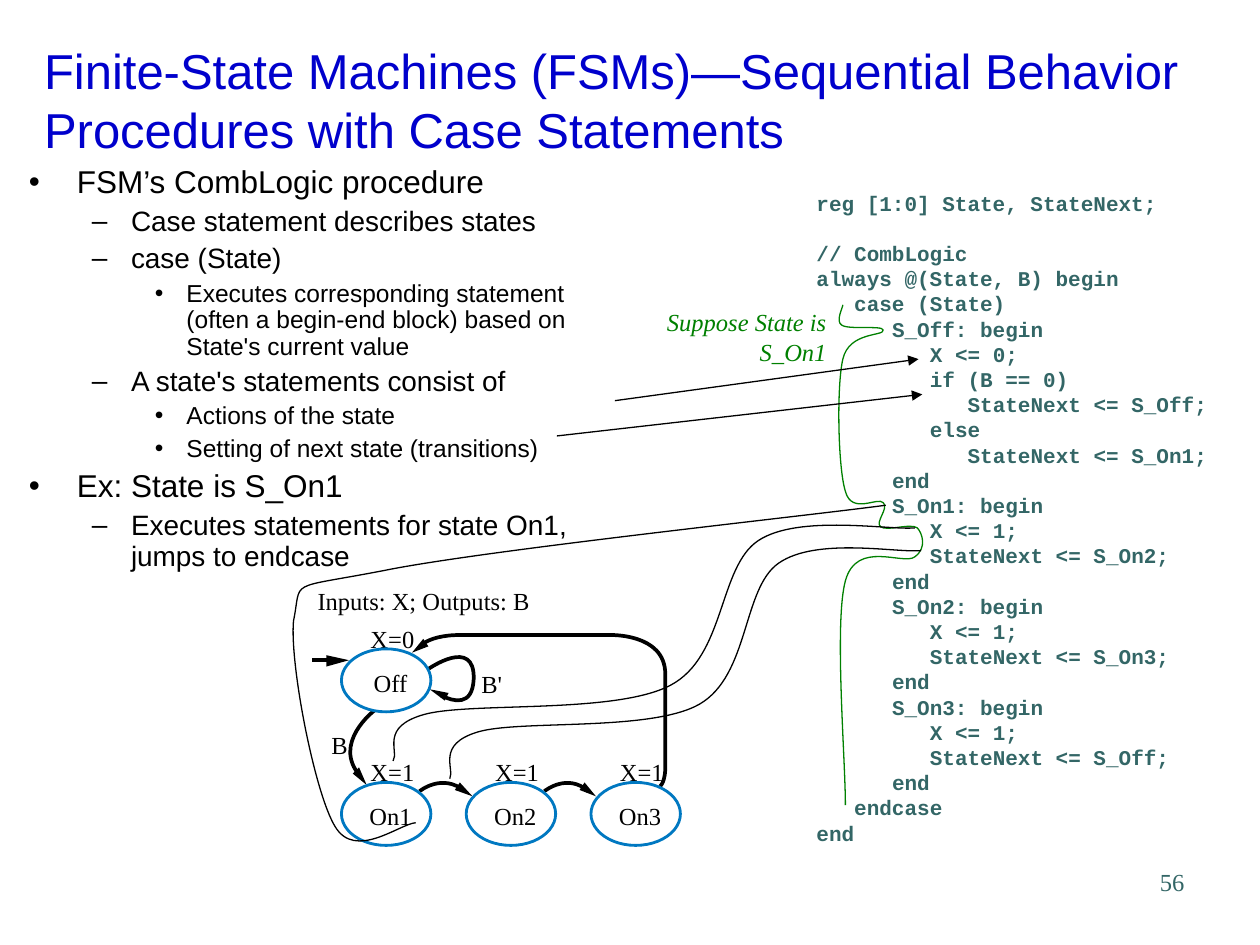
"""Build a slide on finite-state machine procedures with case statements."""
from pptx import Presentation
from pptx.dml.color import RGBColor
from pptx.enum.shapes import MSO_CONNECTOR as Connector, MSO_SHAPE as Shape
from pptx.enum.text import MSO_ANCHOR as Anchor, MSO_AUTO_SIZE as AutoSize, PP_ALIGN as Align
from pptx.oxml.ns import qn
from pptx.oxml.xmlchemy import OxmlElement
from pptx.util import Cm, Pt

COLORS = {"title": "0000CC", "text": "000000", "code": "336666", "note": "008000", "state": "0078C1"}
TITLE = "Finite-State Machines (FSMs)—Sequential Behavior\vProcedures with Case Statements"
BULLETS = [
    (0, "FSM’s CombLogic procedure"),
    (1, "Case statement describes states"),
    (1, "case (State)"),
    (2, "Executes corresponding statement (often a begin-end block) based on State's current value"),
    (1, "A state's statements consist of"),
    (2, "Actions of the state"),
    (2, "Setting of next state (transitions)"),
    (0, "Ex: State is S_On1"),
    (1, "Executes statements for state On1, jumps to endcase"),
]
BULLET_STYLES = [(18, 0.38, 0.38, 4.5), (16, 0.81, 0.31, 4), (14, 1.25, 0.25, 3.5)]
CODE = [
    (1, "reg [1:0] State, StateNext;"),
    (1, "// CombLogic"),
    (1, "always @(State, B) begin"),
    (2, "case (State)"),
    (3, "S_Off: begin"),
    (4, "X <= 0;"),
    (4, "if (B == 0)"),
    (5, "StateNext <= S_Off;"),
    (4, "else"),
    (5, "StateNext <= S_On1;"),
    (3, "end"),
    (3, "S_On1: begin"),
    (4, "X <= 1;"),
    (4, "StateNext <= S_On2;"),
    (3, "end"),
    (3, "S_On2: begin"),
    (4, "X <= 1;"),
    (4, "StateNext <= S_On3;"),
    (3, "end"),
    (3, "S_On3: begin"),
    (4, "X <= 1;"),
    (4, "StateNext <= S_Off;"),
    (3, "end"),
    (2, "endcase"),
    (1, "end"),
]
CODE_PITCH = 14.4
STATES = [("Off", "X=0", 0, 5.15), ("On1", "X=1", 0, 6.21), ("On2", "X=1", 1, 6.21), ("On3", "X=1", 2, 6.21)]
STATE_LEFT, STATE_STEP = 2.71, 0.99
LABELS = [
    ("Inputs: X; Outputs: B", 2.52, 4.65, 1.69),
    ("B'", 3.82, 5.31, 0.17),
    ("B", 2.63, 5.79, 0.13),
]
TRANSITIONS = [
    [(3.33, 6.28), (3.33, 6.28), (3.51, 6.13), (3.69, 6.28)],
    [(4.32, 6.28), (4.32, 6.28), (4.5, 6.13), (4.67, 6.28)],
    [(3.5, 5.52), (3.6, 5.57), (3.75, 5.61), (3.76, 5.39), (3.77, 5.05), (3.4, 5.31), (3.4, 5.31)],
    [(3.37, 5.1), (3.42, 5.07), (3.51, 5.04), (3.65, 5.04), (4.83, 5.04), (4.83, 5.04), (4.83, 5.04),
     (4.83, 5.04), (5.28, 5.02), (5.28, 5.35), (5.28, 6.1), (5.28, 6.1), (5.28, 6.1),
     (5.28, 6.1), (5.28, 6.2), (5.24, 6.24)],
    [(2.97, 5.64), (2.97, 5.64), (2.63, 5.9), (2.86, 6.16)],
]
ARROWHEADS = [
    [(2.77, 5.24), (2.59, 5.2), (2.59, 5.29)],
    [(3.75, 6.32), (3.65, 6.21), (3.61, 6.27)],
    [(2.91, 6.23), (2.85, 6.09), (2.8, 6.14)],
    [(3.41, 5.47), (3.53, 5.56), (3.56, 5.5)],
    [(3.27, 5.18), (3.4, 5.13), (3.36, 5.07)],
    [(4.73, 6.32), (4.64, 6.21), (4.6, 6.27)],
]
EXECUTION = [
    (6.69, 2.42), (6.69, 2.44), (6.63, 2.55), (6.68, 2.58), (6.73, 2.62), (7.01, 2.58), (7.01, 2.62),
    (7.02, 2.67), (6.74, 2.63), (6.69, 2.85), (6.64, 3.06), (6.65, 3.71), (6.71, 3.9),
    (6.76, 4.09), (6.97, 3.94), (7.01, 3.99), (7.06, 4.03), (6.94, 4.15), (6.99, 4.18),
    (7.03, 4.22), (7.23, 4.15), (7.28, 4.19), (7.32, 4.23), (7.36, 4.35), (7.26, 4.42),
    (7.17, 4.49), (6.8, 4.28), (6.71, 4.61), (6.62, 4.94), (6.71, 6.02), (6.71, 6.39),
]
CODE_LINKS = [
    [(7.26, 4.19), (7.06, 4.21), (6.34, 4.08), (6.02, 4.29), (5.7, 4.5), (5.76, 5.21), (5.32, 5.44),
     (4.88, 5.67), (3.74, 5.57), (3.37, 5.67), (3.01, 5.77), (3.17, 5.96), (3.12, 6.04)],
    [(7.31, 4.37), (7.12, 4.39), (6.48, 4.26), (6.18, 4.47), (5.89, 4.67), (5.95, 5.36), (5.55, 5.59),
     (5.16, 5.81), (4.12, 5.71), (3.79, 5.81), (3.46, 5.91), (3.61, 6.1), (3.57, 6.18)],
    [(7.03, 4.01), (6.36, 4.1), (3.82, 4.37), (3.04, 4.53), (2.26, 4.68), (2.4, 4.59), (2.33, 4.93),
     (2.3, 5.28), (2.5, 6.3), (2.66, 6.56), (2.82, 6.83), (3.17, 6.54), (3.3, 6.53)],
]
POINTERS = [((4.42, 3.46), (7.32, 3.13)), ((4.88, 3.18), (7.29, 2.85))]


def inches(*values):
    return [Cm(2.54 * value) for value in values]


def color(name):
    return RGBColor.from_string(COLORS[name])


def set_font(paragraph, name, size, tint):
    font = paragraph.font
    font.name, font.size, font.color.rgb = name, Pt(size), color(tint)
    return font


def set_indent(paragraph, left, hanging=0):
    margin, first = inches(left, -hanging)
    properties = paragraph._p.get_or_add_pPr()
    properties.set("marL", str(margin))
    properties.set("indent", str(first))


def set_line(shape, tint, width):
    shape.line.color.rgb = color(tint)
    shape.line.width = Pt(width)


def move(placeholder, *box):
    placeholder.left, placeholder.top, placeholder.width, placeholder.height = inches(*box)
    placeholder.text_frame.auto_size = AutoSize.NONE
    return placeholder.text_frame


def add_text(slide, text, box, tint="text", align=Align.LEFT, wrap=False):
    frame = slide.shapes.add_textbox(*inches(*box)).text_frame
    frame.margin_left = frame.margin_right = frame.margin_top = frame.margin_bottom = 0
    frame.word_wrap = wrap
    frame.text = text
    frame.paragraphs[0].alignment = align
    set_font(frame.paragraphs[0], "Times New Roman", 14, tint)
    return frame


def add_outline(slide, points, closed=False):
    builder = slide.shapes.build_freeform(*inches(*points[0]), scale=1.0)
    builder.add_line_segments([inches(*point) for point in points[1:]], close=closed)
    shape = builder.convert_to_shape()
    shape.shadow.inherit = False
    return shape


def add_curve(slide, points, tint="text", width=0.75):
    shape = add_outline(slide, points)
    shape.fill.background()
    set_line(shape, tint, width)
    segments = list(shape._element.iter(qn("a:lnTo")))
    for start in range(0, len(segments), 3):
        curve = OxmlElement("a:cubicBezTo")
        segments[start].addprevious(curve)
        for segment in segments[start:start + 3]:
            curve.append(segment[0])
            segment.getparent().remove(segment)


def add_line(slide, start, end, width, arrow=False):
    line = slide.shapes.add_connector(Connector.STRAIGHT, *inches(*start, *end))
    set_line(line, "text", width)
    properties = line._element.spPr
    if arrow:
        tail = OxmlElement("a:tailEnd")
        tail.set("type", "triangle")
        properties.find(qn("a:ln")).append(tail)
    properties.append(OxmlElement("a:effectLst"))


def add_title_and_bullets(slide):
    frame = move(slide.shapes.title, 0.25, 0.33, 9.42, 0.92)
    frame.text, frame.vertical_anchor = TITLE, Anchor.MIDDLE
    frame.paragraphs[0].alignment = Align.LEFT
    set_font(frame.paragraphs[0], "Arial", 28, "title")
    frame = move(slide.placeholders[1], 0.13, 1.27, 4.55, 3.51)
    frame.text = "\n".join(text for _, text in BULLETS)
    for paragraph, (level, _) in zip(frame.paragraphs, BULLETS):
        size, left, hanging, before = BULLET_STYLES[level]
        paragraph.level, paragraph.line_spacing, paragraph.space_before = level, 0.9, Pt(before)
        set_indent(paragraph, left, hanging)
        set_font(paragraph, "Arial", size, "text")


def add_code(slide):
    frame = add_text(slide, "\n".join(text for _, text in CODE), (6.18, 1.51, 3.4, 5.2))
    for paragraph, (level, _) in zip(frame.paragraphs, CODE):
        set_font(paragraph, "Courier New", 12, "code").bold = True
        set_indent(paragraph, 0.3 * level)
        paragraph.line_spacing = Pt(CODE_PITCH)
    frame.paragraphs[1].space_before = Pt(CODE_PITCH)


def add_diagram(slide):
    for text, *place in LABELS:
        add_text(slide, text, (*place, 0.23))
    add_line(slide, (2.48, 5.24), (2.62, 5.24), 2.13)
    for points in TRANSITIONS:
        add_curve(slide, points, width=2.13)
    for points in ARROWHEADS:
        head = add_outline(slide, points, closed=True)
        head.fill.solid()
        head.fill.fore_color.rgb = color("text")
        head.line.fill.background()
    for name, output, column, top in STATES:
        left = STATE_LEFT + STATE_STEP * column
        add_text(slide, name, (left + 0.22, top + 0.15, 0.34, 0.23), align=Align.CENTER)
        add_text(slide, output, (left + 0.23, top - 0.2, 0.35, 0.23))
        state = slide.shapes.add_shape(Shape.OVAL, *inches(left, top, 0.71, 0.5))
        state.shadow.inherit = False
        state.fill.background()
        set_line(state, "state", 1.62)


def main():
    presentation = Presentation()
    presentation.slide_width, presentation.slide_height = inches(10, 7.5)
    slide = presentation.slides.add_slide(presentation.slide_layouts[1])
    add_title_and_bullets(slide)
    add_code(slide)
    add_text(slide, "56", (7.52, 6.88, 1.88, 0.4), "code", Align.RIGHT)
    note = add_text(slide, "Suppose State is S_On1", (4.79, 2.44, 1.77, 0.47), "note", Align.RIGHT, True)
    note.paragraphs[0].font.italic = True
    add_curve(slide, EXECUTION, "note")
    add_diagram(slide)
    for points in CODE_LINKS:
        add_curve(slide, points)
    for start, end in POINTERS:
        add_line(slide, start, end, 0.75, arrow=True)
    presentation.save("out.pptx")


if __name__ == "__main__":
    main()
